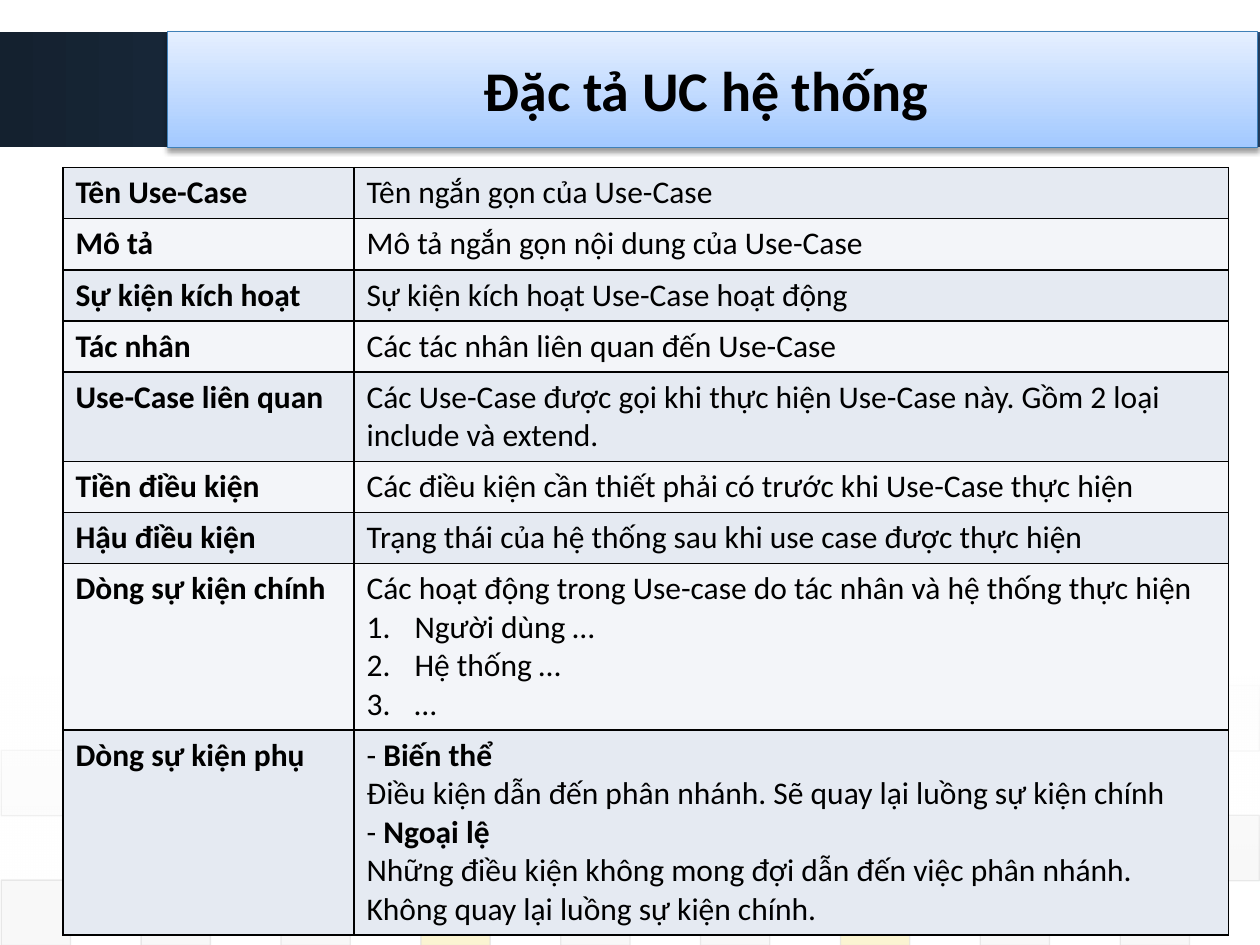
from lxml.etree import SubElement
from pptx import Presentation
from pptx.dml.color import RGBColor
from pptx.enum.shapes import MSO_SHAPE as Shape
from pptx.enum.text import MSO_ANCHOR as Anchor, PP_ALIGN as Align
from pptx.oxml.ns import qn
from pptx.util import Inches, Pt

BLACK = RGBColor(0x00, 0x00, 0x00)
WHITE = RGBColor(0xFF, 0xFF, 0xFF)
GREY = RGBColor(0xDD, 0xDD, 0xDD)
PALE_GREY = RGBColor(0xEA, 0xEA, 0xEA)
YELLOW = RGBColor(0xEF, 0xC8, 0x21)
GREEN = RGBColor(0x8A, 0xC2, 0x46)
NAVY = RGBColor(0x14, 0x21, 0x2F)
BLUE = RGBColor(0x2E, 0x50, 0x7A)
TITLE_TOP = RGBColor(0xE5, 0xEF, 0xFF)
TITLE_BOTTOM = RGBColor(0xA3, 0xC9, 0xFF)
TITLE_LINE = RGBColor(0x3F, 0x80, 0xB8)
ROW_FILLS = [RGBColor(0xE5, 0xEA, 0xF2), RGBColor(0xF3, 0xF5, 0xF9)]

# One row of background tiles per line: colour letters, first column, opacity
TILE_COLOURS = {"D": GREY, "E": PALE_GREY, "Y": YELLOW, "G": GREEN}
TILE_ROWS = [("YEEYDYEGE", 1, 5), ("DDDDGDDDY", 0, 10),
             ("DGDDDDGDD", 1, 20), ("DDDYDDYDD", 0, 20)]

# Label, paragraphs, row height; "#" starts a numbered item, "-" a bold heading
USE_CASE_ROWS = [
    ("Tên Use-Case", ["Tên ngắn gọn của Use-Case"], 0.4),
    ("Mô tả", ["Mô tả ngắn gọn nội dung của Use-Case"], 0.4),
    ("Sự kiện kích hoạt", ["Sự kiện kích hoạt Use-Case hoạt động"], 0.4),
    ("Tác nhân", ["Các tác nhân liên quan đến Use-Case"], 0.4),
    ("Use-Case liên quan",
     ["Các Use-Case được gọi khi thực hiện Use-Case này. Gồm 2 loại include và extend."], 0.7),
    ("Tiền điều kiện", ["Các điều kiện cần thiết phải có trước khi Use-Case thực hiện"], 0.4),
    ("Hậu điều kiện", ["Trạng thái của hệ thống sau khi use case được thực hiện"], 0.4),
    ("Dòng sự kiện chính",
     ["Các hoạt động trong Use-case do tác nhân và hệ thống thực hiện",
      "#Người dùng …", "#Hệ thống …", "#…"], 1.3),
    ("Dòng sự kiện phụ",
     ["- Biến thể",
      "Điều kiện dẫn đến phân nhánh. Sẽ quay lại luồng sự kiện chính",
      "- Ngoại lệ",
      "Những điều kiện không mong đợi dẫn đến việc phân nhánh. "
      "Không quay lại luồng sự kiện chính."], 1.6),
]


def set_opacity(colour, percent):
    SubElement(colour, qn("a:alpha"), val=str(percent * 1000))


def write_text(paragraph, text, size=18, bold=False, colour=BLACK, font="Calibri", align=None):
    paragraph.alignment = align
    run = paragraph.add_run()
    run.text = text
    run.font.size, run.font.bold, run.font.name = Pt(size), bold, font
    run.font.color.rgb = colour


def number_paragraph(paragraph):
    properties = paragraph._p.get_or_add_pPr()
    properties.set("marL", str(Inches(0.38)))
    properties.set("indent", str(-Inches(0.38)))
    SubElement(properties, qn("a:buFont"), typeface="+mj-lt")
    SubElement(properties, qn("a:buAutoNum"), type="arabicPeriod")


def border_cell(cell, width=1):
    """Draw all four borders; they must precede the fill in the cell's XML."""
    properties = cell._tc.get_or_add_tcPr()
    for side in ("a:lnL", "a:lnR", "a:lnT", "a:lnB"):
        line = SubElement(properties, qn(side), w=str(Pt(width)))
        fill = SubElement(line, qn("a:solidFill"))
        SubElement(fill, qn("a:srgbClr"), val=str(BLACK))


class SlideBuilder:
    def __init__(self, presentation):
        self.slide = presentation.slides.add_slide(presentation.slide_layouts[6])

    def rectangle(self, left, top, width, height, line=None):
        shape = self.slide.shapes.add_shape(
            Shape.RECTANGLE, Inches(left), Inches(top), Inches(width), Inches(height))
        shape.shadow.inherit = False
        if line is None:
            shape.line.fill.background()
        else:
            shape.line.color.rgb = line
            shape.line.width = Pt(0.75)
        return shape

    def gradient(self, *box, colours, angle, opacities=(), line=None):
        shape = self.rectangle(*box, line=line)
        shape.fill.gradient()
        shape.fill.gradient_angle = angle
        for stop, colour in zip(shape.fill.gradient_stops, colours):
            stop.color.rgb = colour
        stops = shape._element.spPr.findall(".//" + qn("a:gs"))
        for stop, opacity in zip(stops, opacities):
            set_opacity(stop[0], opacity)
        return shape

    def tile(self, column, row, colour, opacity):
        shape = self.rectangle(0.01 + 0.555 * column, 5.44 + 0.515 * row, 0.55, 0.52, line=GREY)
        shape.fill.solid()
        shape.fill.fore_color.rgb = colour
        fill_colour, line_colour = shape._element.spPr.findall(".//" + qn("a:srgbClr"))
        set_opacity(fill_colour, opacity)
        set_opacity(line_colour, 60)

    def title(self, text, *box):
        shape = self.gradient(*box, colours=(TITLE_TOP, TITLE_BOTTOM), angle=270, line=TITLE_LINE)
        effects = shape._element.spPr.find(qn("a:effectLst"))
        shadow = SubElement(effects, qn("a:outerShdw"), blurRad=str(Pt(3)), dist=str(Pt(2)),
                            dir="5400000", rotWithShape="0")
        set_opacity(SubElement(shadow, qn("a:srgbClr"), val=str(BLACK)), 38)
        shape.text_frame.word_wrap = True
        shape.text_frame.vertical_anchor = Anchor.MIDDLE
        write_text(shape.text_frame.paragraphs[0], text, size=32, bold=True, align=Align.CENTER)

    def table(self, rows, left, top, widths):
        height = sum(row_height for *_, row_height in rows)
        table = self.slide.shapes.add_table(
            len(rows), len(widths), Inches(left), Inches(top),
            Inches(sum(widths)), Inches(height)).table
        for column, width in zip(table.columns, widths):
            column.width = Inches(width)
        for index, (label, lines, row_height) in enumerate(rows):
            table.rows[index].height = Inches(row_height)
            label_cell, text_cell = table.rows[index].cells
            for cell in (label_cell, text_cell):
                border_cell(cell)
                cell.fill.solid()
                cell.fill.fore_color.rgb = ROW_FILLS[index % 2]
            write_text(label_cell.text_frame.paragraphs[0], label, bold=True)
            self.cell_lines(text_cell.text_frame, lines)

    def cell_lines(self, frame, lines):
        for index, line in enumerate(lines):
            paragraph = frame.add_paragraph() if index else frame.paragraphs[0]
            if line.startswith("#"):
                number_paragraph(paragraph)
                write_text(paragraph, line[1:])
            elif line.startswith("- "):
                write_text(paragraph, "- ")
                write_text(paragraph, line[2:], bold=True)
            else:
                write_text(paragraph, line)


def main():
    presentation = Presentation()
    presentation.slide_width, presentation.slide_height = Inches(10), Inches(7.5)
    builder = SlideBuilder(presentation)
    builder.gradient(0, 0.25, 10, 0.92, colours=(NAVY, BLUE), angle=0)
    for row, (letters, first_column, opacity) in enumerate(TILE_ROWS):
        for index, letter in enumerate(letters):
            builder.tile(first_column + 2 * index, row, TILE_COLOURS[letter], opacity)
    builder.gradient(0, 5.37, 10, 1.62, colours=(WHITE, WHITE), angle=270, opacities=(90, 0))
    builder.title("Đặc tả UC hệ thống ", 1.33, 0.25, 8.65, 0.92)
    builder.table(USE_CASE_ROWS, 0.5, 1.33, (2.31, 6.94))
    presentation.save("out.pptx")


if __name__ == "__main__":
    main()
